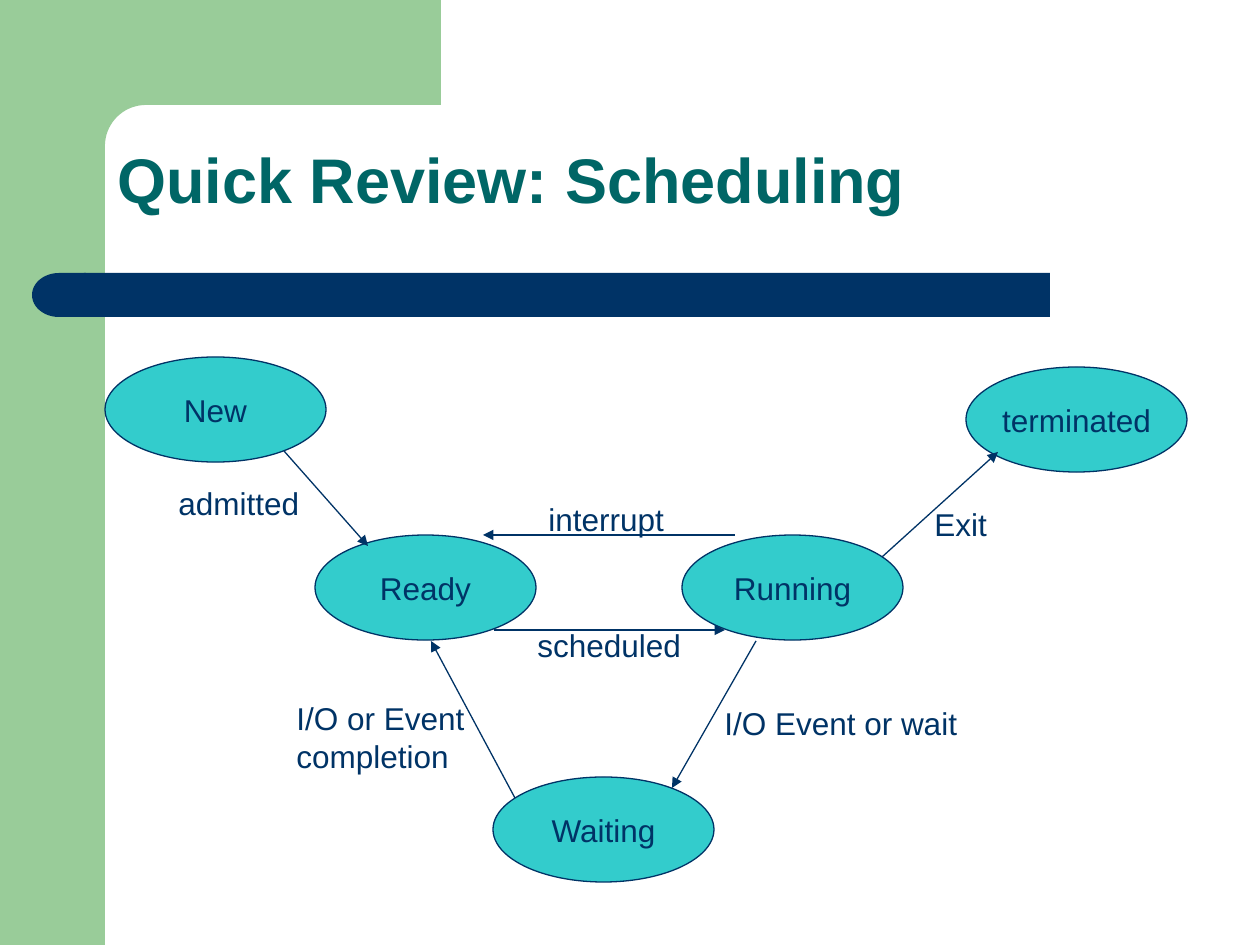
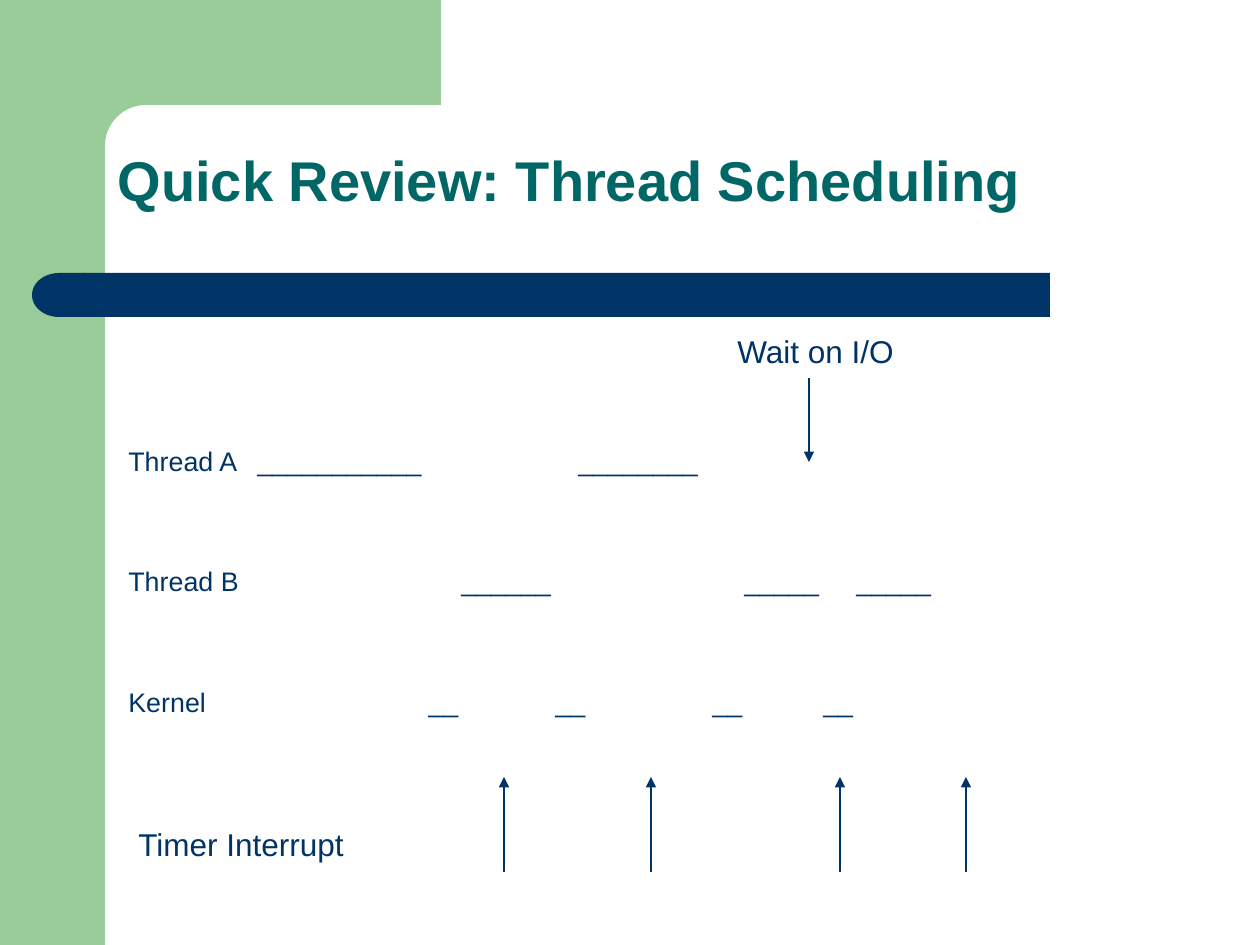
"""Build two slides reviewing process and thread scheduling."""
from math import cos, radians, sin

from lxml import etree
from pptx import Presentation
from pptx.dml.color import RGBColor
from pptx.enum.shapes import MSO_CONNECTOR, MSO_SHAPE
from pptx.enum.text import MSO_ANCHOR, MSO_AUTO_SIZE, PP_ALIGN
from pptx.oxml.ns import qn
from pptx.util import Emu, Pt

PX = 914400 / 126
FONT = "Arial"
COLORS = {"green": "99CC99", "navy": "003366", "title": "006666", "state": "33CCCC"}
RECTANGLE, OVAL, DELAY = MSO_SHAPE.RECTANGLE, MSO_SHAPE.OVAL, MSO_SHAPE.FLOWCHART_DELAY
STRAIGHT = MSO_CONNECTOR.STRAIGHT
MIDDLE, NO_FIT = MSO_ANCHOR.MIDDLE, MSO_AUTO_SIZE.NONE
LEFT, CENTER = PP_ALIGN.LEFT, PP_ALIGN.CENTER

STATE_SIZE = (221, 105)
STATES = {
    "Ready": (315, 535),
    "Running": (682, 535),
    "terminated": (966, 367),
    "New": (105, 357),
    "Waiting": (493, 777),
}
TRANSITIONS = [
    (284, 451, 368, 546),
    (494, 630, 725, 630),
    (756, 641, 672, 788),
    (515, 798, 431, 641),
    (735, 535, 483, 535),
    (882, 557, 998, 452),
]
TRANSITION_LABELS = [
    (["admitted"], 166, 478, 152),
    (["scheduled"], 525, 620, 175),
    (["interrupt"], 536, 494, 148),
    (["I/O Event or wait"], 712, 698, 264),
    (["I/O or Event", "completion"], 284, 693, 208),
    (["Exit"], 922, 499, 86),
]
THREAD_ROWS = [
    ("Thread A", [(129, 11), (450, 8)]),
    ("Thread B", [(333, 6), (616, 5), (728, 5)]),
    ("Kernel", [(300, 2), (427, 2), (584, 2), (695, 2)]),
]
TIMER_TICKS = [504, 651, 840, 966]


def px(*lengths):
    """Turn pixel lengths into EMU."""
    return [Emu(round(length * PX)) for length in lengths]


def rgb(name):
    """Look up a named colour."""
    return RGBColor.from_string(COLORS[name])


def add_span(para, text, size, color="navy", bold=False):
    """Add one formatted run to a paragraph."""
    span = para.add_run()
    span.text = text
    span.font.name = FONT
    span.font.size = Pt(size)
    span.font.bold = bold
    span.font.color.rgb = rgb(color)


def paint(shape, color):
    """Give a shape a flat fill with no line or shadow."""
    shape.shadow.inherit = False
    shape.fill.solid()
    shape.fill.fore_color.rgb = rgb(color)
    shape.line.fill.background()
    return shape


def add_block(page, kind, bounds, color):
    """Add a flat preset shape."""
    return paint(page.shapes.add_shape(kind, *px(*bounds)), color)


def add_corner(page):
    """Add the top band whose inner corner is rounded."""
    radius, center = 41, 146
    arc = [
        (center - radius * sin(radians(angle)), center - radius * cos(radians(angle)))
        for angle in range(0, 91, 5)
    ]
    scale = 100
    points = [(441, 0), (441, 105), *arc, (105, 161), (63, 161)]
    builder = page.shapes.build_freeform(63 * scale, 0, scale=PX / scale)
    builder.add_line_segments([(x * scale, y * scale) for x, y in points])
    return paint(builder.convert_to_shape(), "green")


def decorate_layout(page, layout):
    """Draw the shared bands and move them to the layout."""
    bands = [
        add_block(page, RECTANGLE, (0, 0, 105, 945), "green"),
        add_corner(page),
        add_block(page, RECTANGLE, (84, 273, 966, 44), "navy"),
        add_block(page, DELAY, (32, 273, 54, 44), "navy"),
    ]
    bands[-1].element.spPr.find(qn("a:xfrm")).set("flipH", "1")
    for number, band in enumerate(bands, 100):
        band.element.xpath(".//p:cNvPr")[0].set("id", str(number))
        layout.shapes.element.append(band.element)


def set_title(page, text, size):
    """Place and format the title placeholder."""
    title = page.shapes.title
    title.left, title.top, title.width, title.height = px(105, 105, 1092, 157)
    frame = title.text_frame
    frame.auto_size = NO_FIT
    frame.vertical_anchor = MIDDLE
    para = frame.paragraphs[0]
    para.alignment = LEFT
    para.line_spacing = 0.9
    add_span(para, text, size, "title", True)


def add_state(page, name, left, top):
    """Add one named process state."""
    state = add_block(page, OVAL, (left, top, *STATE_SIZE), "state")
    state.line.color.rgb = rgb("navy")
    state.line.width = Pt(0.75)
    frame = state.text_frame
    frame.word_wrap = False
    frame.vertical_anchor = MIDDLE
    para = frame.paragraphs[0]
    para.alignment = CENTER
    add_span(para, name, 18)


def add_arrow(page, *ends):
    """Add an arrow from the first point to the second."""
    arrow = page.shapes.add_connector(STRAIGHT, *px(*ends))
    arrow.line.color.rgb = rgb("navy")
    arrow.line.width = Pt(0.75)
    outline = arrow.element.spPr.find(qn("a:ln"))
    etree.SubElement(outline, qn("a:tailEnd"), type="triangle")
    etree.SubElement(arrow.element.spPr, qn("a:effectLst"))


def add_label(page, lines, left, top, width):
    """Add a label with one paragraph for each line."""
    box = page.shapes.add_textbox(*px(left, top, width, 12 + 38 * len(lines)))
    frame = box.text_frame
    frame.word_wrap = False
    for index, line in enumerate(lines):
        para = frame.add_paragraph() if index else frame.paragraphs[0]
        add_span(para, line, 18)


def add_timeline(page, rows):
    """Add named rows whose running periods stand at tab stops."""
    frame = page.shapes.add_textbox(*px(116, 438, 1060, 293)).text_frame
    frame.word_wrap = True
    for index, (name, periods) in enumerate(rows):
        para = frame.add_paragraph() if index else frame.paragraphs[0]
        para.space_before = Pt(50.5 if index else 0)
        add_span(para, name, 15.3)
        stops = etree.SubElement(para._p.get_or_add_pPr(), qn("a:tabLst"))
        for start, length in periods:
            etree.SubElement(stops, qn("a:tab"), pos=str(px(start)[0]), algn="l")
            add_span(para, "\t" + "_" * length, 15.3)


def fill_process_page(page):
    """Draw the process state diagram."""
    set_title(page, "Quick Review: Scheduling", 36)
    for name, corner in STATES.items():
        add_state(page, name, *corner)
    for ends in TRANSITIONS:
        add_arrow(page, *ends)
    for label in TRANSITION_LABELS:
        add_label(page, *label)


def fill_thread_page(page):
    """Draw the thread timeline and its interrupts."""
    set_title(page, "Quick Review: Thread Scheduling", 32)
    add_timeline(page, THREAD_ROWS)
    for tick in TIMER_TICKS:
        add_arrow(page, tick, 872, tick, 777)
    add_label(page, ["Timer Interrupt"], 126, 819, 238)
    add_arrow(page, 809, 378, 809, 462)
    add_label(page, ["Wait on I/O"], 725, 326, 189)


def main():
    """Build and save the deck."""
    deck = Presentation()
    deck.slide_width, deck.slide_height = px(1260, 945)
    layout = deck.slide_layouts[5]
    process_page = deck.slides.add_slide(layout)
    decorate_layout(process_page, layout)
    fill_process_page(process_page)
    fill_thread_page(deck.slides.add_slide(layout))
    deck.save("out.pptx")


if __name__ == "__main__":
    main()
